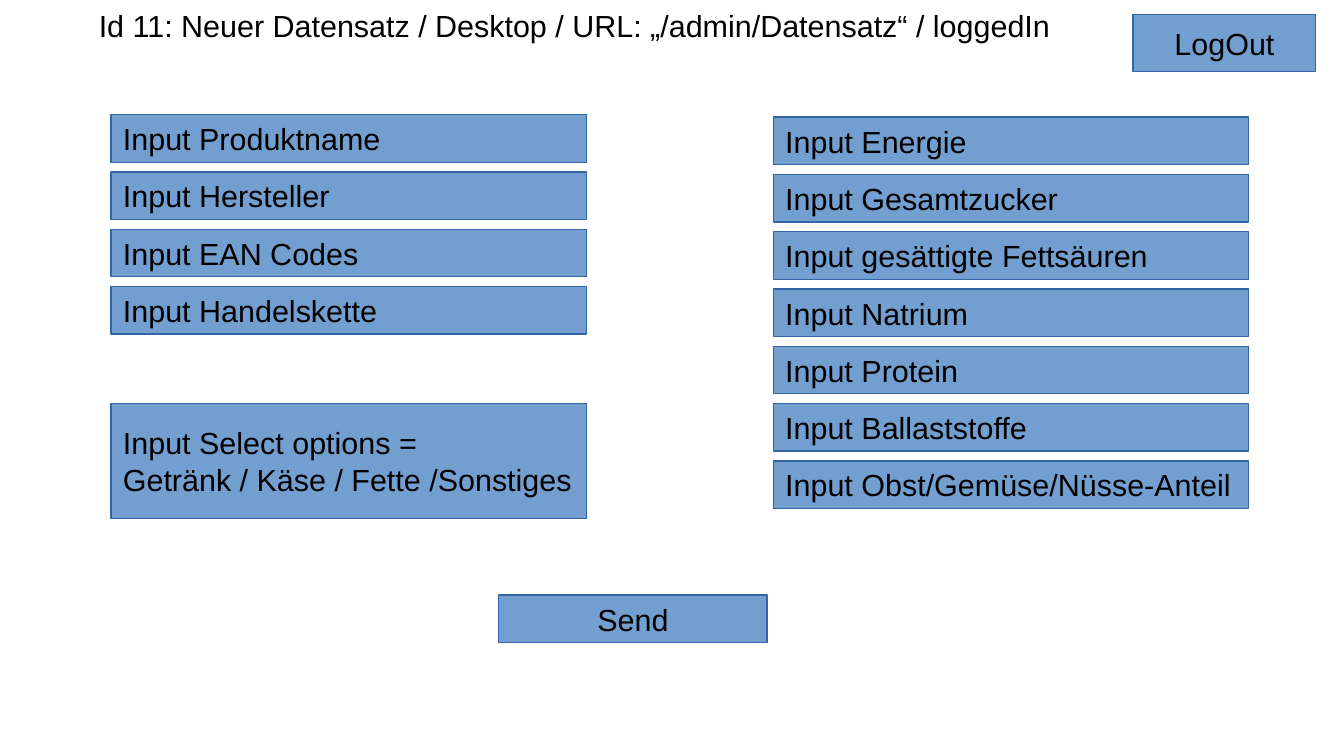
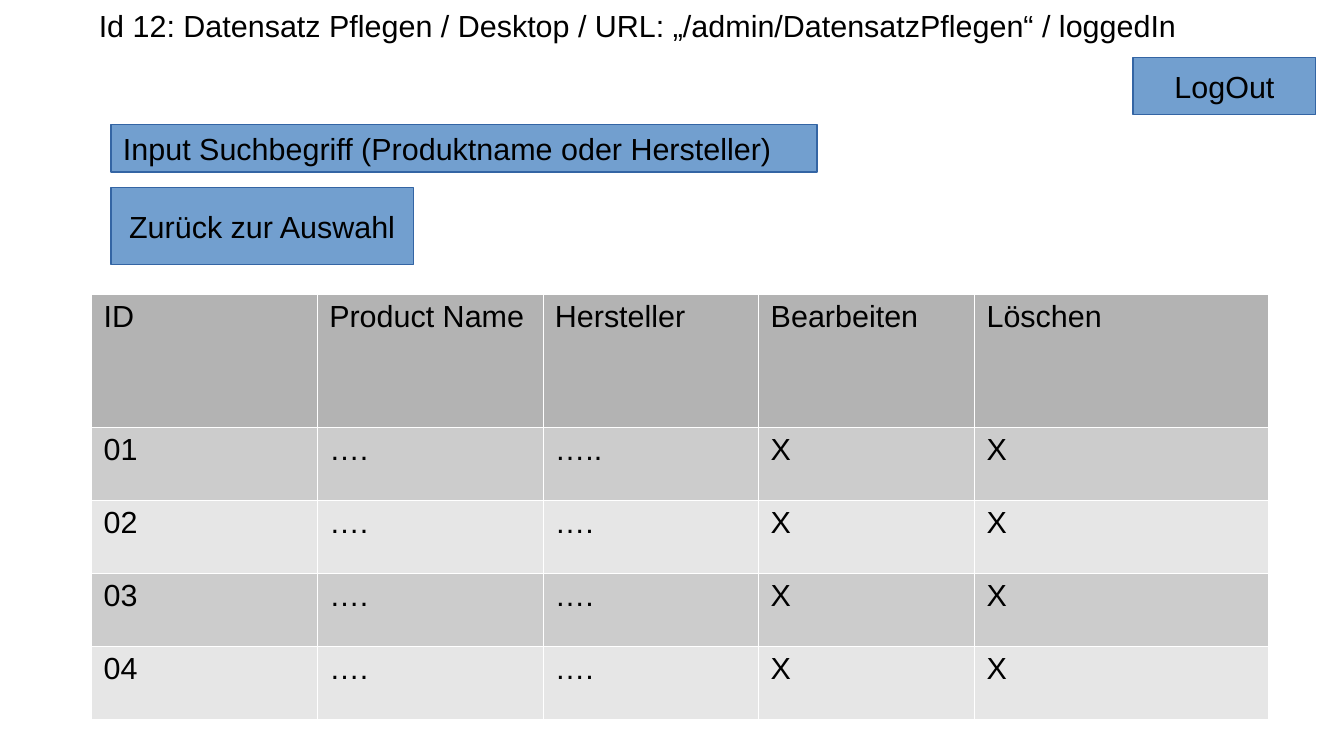
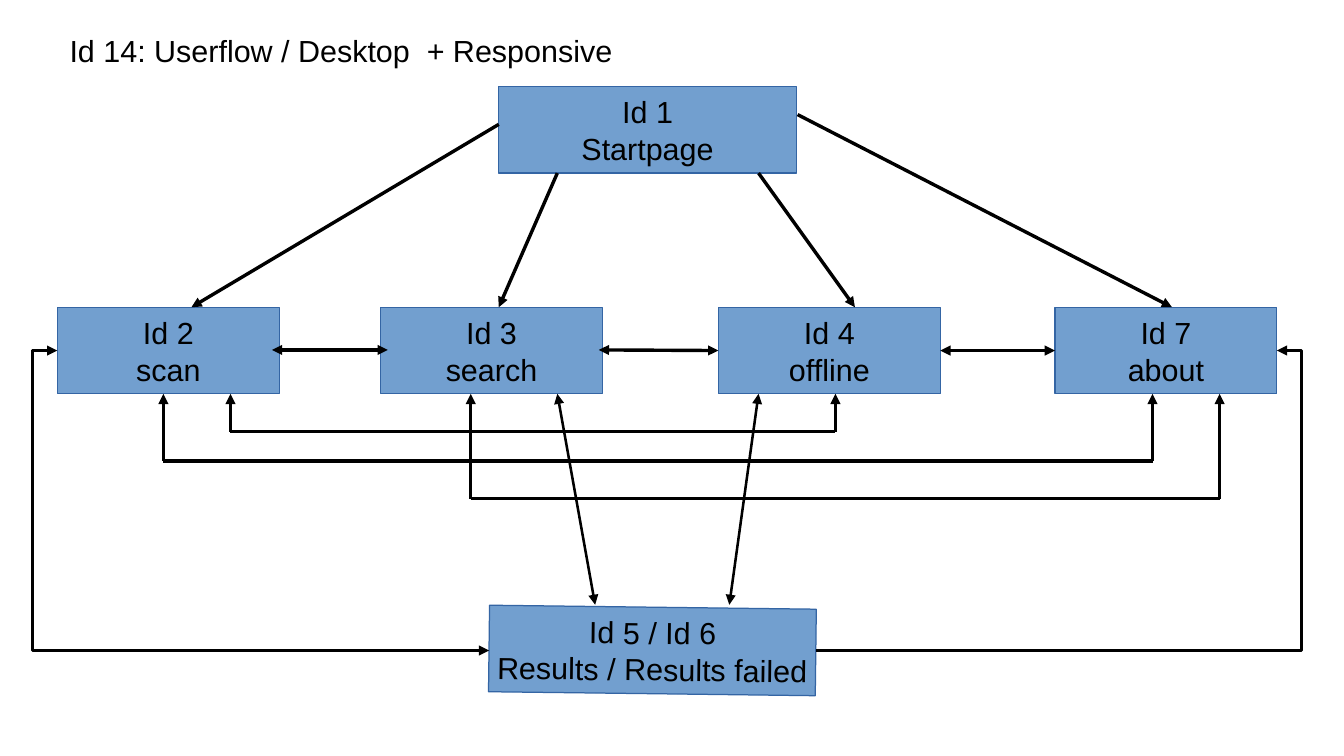
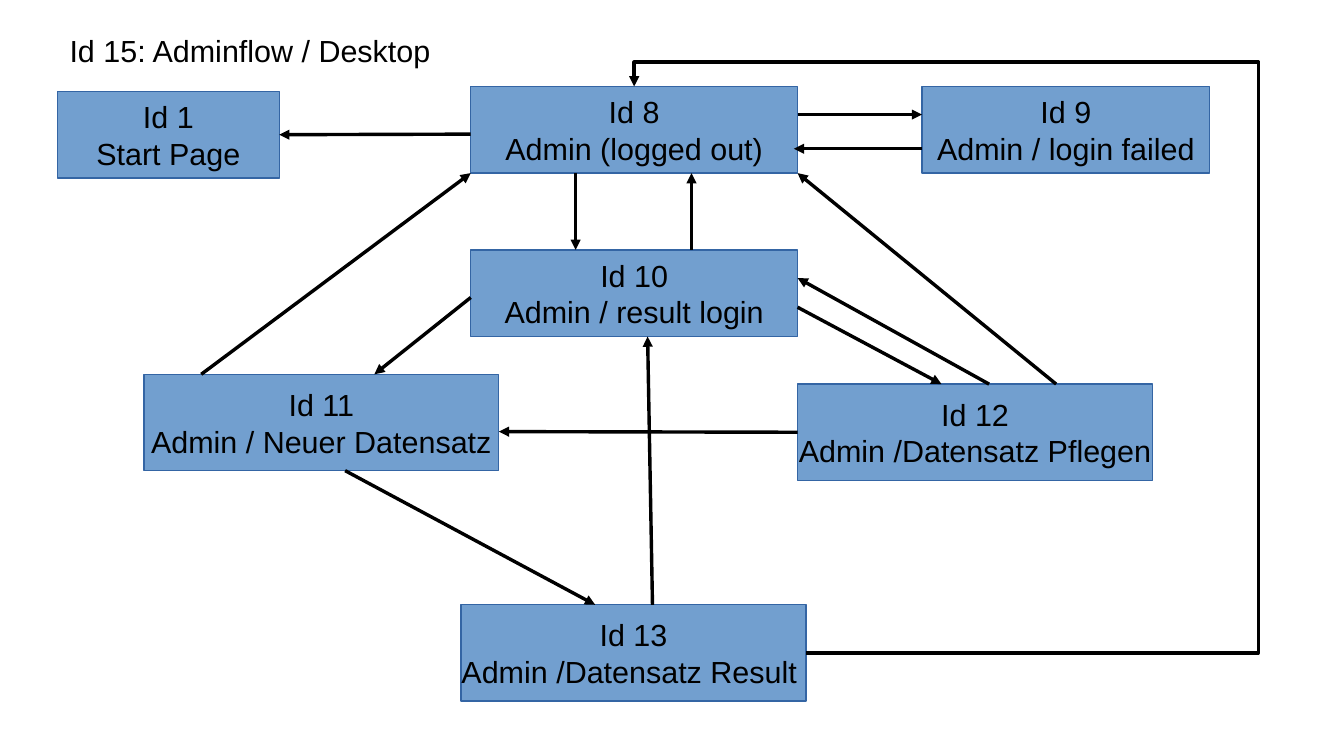
from lxml.etree import SubElement
from pptx import Presentation
from pptx.dml.color import RGBColor
from pptx.enum.shapes import MSO_CONNECTOR, MSO_SHAPE
from pptx.enum.text import MSO_ANCHOR, MSO_AUTO_SIZE, PP_ALIGN
from pptx.oxml.ns import qn
from pptx.util import Inches, Pt

COLORS = {"text": "000000", "box": "729FCF", "outline": "3465A4", "arrow": "000000",
          "head": "B3B3B3", "odd": "CCCCCC", "even": "E6E6E6", "border": "FFFFFF"}
FONT, SIZE = "Arial", 18
TOP, LEFT, BOTTOM, RIGHT = range(4)  # connection sites of a rectangle

# Form slides: content and grid
TITLES = {
    "new": "Id 11: Neuer Datensatz / Desktop / URL: „/admin/Datensatz“ / loggedIn",
    "edit": "Id 12: Datensatz Pflegen / Desktop / URL: „/admin/DatensatzPflegen“ / loggedIn",
    "user": "Id 14: Userflow / Desktop  + Responsive",
    "admin": "Id 15: Adminflow / Desktop",
}
FORM_TITLE, FLOW_TITLE = (0.71, 0.01), (0.47, 0.21)
FIELD_WIDTH, FIELD_HEIGHT, FIELD_STEP = 3.9, 0.39, 0.47
FIELD_COLUMNS = [
    (0.91, 0.94, ["Produktname", "Hersteller", "EAN Codes", "Handelskette"]),
    (6.34, 0.96, ["Energie", "Gesamtzucker", "gesättigte Fettsäuren", "Natrium",
                  "Protein", "Ballaststoffe", "Obst/Gemüse/Nüsse-Anteil"]),
]
SELECT_LINES = ["Input Select options =", "Getränk / Käse / Fette /Sonstiges"]

TABLE_COLUMNS = [1.85, 1.85, 1.77, 1.77, 2.41]
TABLE_ROWS = [1.09] + [0.6] * 4
RECORDS = [
    ["ID", "Product Name", "Hersteller", "Bearbeiten", "Löschen"],
    ["01", "….", "…..", "X", "X"],
    ["02", "….", "….", "X", "X"],
    ["03", "….", "….", "X", "X"],
    ["04", "….", "….", "X", "X"],
]

# Flow slides: boxes as id -> (second line, left, top, width, height)
USER_BOXES = {
    "Id 1": ("Startpage", 4.09, 0.71, 2.44, 0.71),
    "Id 2": ("scan", 0.47, 2.52, 1.82, 0.71),
    "Id 3": ("search", 3.12, 2.52, 1.82, 0.71),
    "Id 4": ("offline", 5.89, 2.52, 1.82, 0.71),
    "Id 7": ("about", 8.65, 2.52, 1.82, 0.71),
    "Id 5 / Id 6": ("Results / Results failed", 4.01, 4.98, 2.68, 0.71),
}
# An arrow end is a point or a (box id, side) pair
USER_ARROWS = [
    ((6.54, 0.94), (9.61, 2.52)),
    ((6.22, 1.42), (7.01, 2.52)),
    ((4.57, 1.42), (4.09, 2.52)),
    ((4.09, 1.02), (1.57, 2.52)),
]
USER_NEIGHBOURS = [
    ((2.23, 2.87), (3.18, 2.87)),
    ((4.91, 2.87), ("Id 4", LEFT)),
    (("Id 4", RIGHT), ("Id 7", LEFT)),
]
RESULT_ARROWS = [((4.57, 3.23), (4.88, 4.96)), ((6.22, 3.23), (5.98, 4.96))]
BRACKET_TOP = 3.23
BRACKETS = [(1.89, 6.85, 3.54), (3.86, 10, 4.09), (1.34, 9.45, 3.78)]  # left, right, depth

ADMIN_BOXES = {
    "Id 8": ("Admin (logged out)", 3.86, 0.71, 2.68, 0.71),
    "Id 1": ("Start Page", 0.47, 0.75, 1.82, 0.71),
    "Id 9": ("Admin / login failed", 7.56, 0.71, 2.36, 0.71),
    "Id 10": ("Admin / result login", 3.86, 2.05, 2.68, 0.71),
    "Id 11": ("Admin / Neuer Datensatz", 1.18, 3.07, 2.91, 0.79),
    "Id 12": ("Admin /Datensatz Pflegen", 6.54, 3.15, 2.91, 0.79),
    "Id 13": ("Admin /Datensatz Result ", 3.78, 4.96, 2.83, 0.79),
}
ADMIN_ARROWS = [
    ((4.72, 1.42), (4.72, 2.05)),
    ((5.67, 2.05), (5.67, 1.42)),
    ((3.86, 1.1), ("Id 1", RIGHT)),
    ((6.54, 0.94), (7.56, 0.94)),
    ((7.56, 1.22), (6.51, 1.22)),
    ((1.65, 3.07), (3.86, 1.42)),
    ((8.66, 3.15), (6.54, 1.42)),
    ((3.86, 2.44), (3.07, 3.07)),
    ((6.54, 2.52), (7.72, 3.15)),
    ((8.11, 3.15), (6.54, 2.28)),
    (("Id 12", LEFT), (4.09, 3.54)),
    ((2.83, 3.86), (4.88, 4.96)),
    ((5.35, 4.96), (5.31, 2.76)),
]


def color(name):
    return RGBColor.from_string(COLORS[name])


def write(frame, lines, align=PP_ALIGN.LEFT):
    for index, line in enumerate(lines):
        para = frame.paragraphs[0] if index == 0 else frame.add_paragraph()
        para.alignment = align
        span = para.add_run()
        span.text = line
        span.font.name, span.font.size, span.font.bold = FONT, Pt(SIZE), False
        span.font.color.rgb = color("text")


def add_page(deck, title, corner):
    page = deck.slides.add_slide(deck.slide_layouts[5])
    box = page.shapes.title
    box.left, box.top, box.width, box.height = map(Inches, (*corner, 9.69, 0.38))
    frame = box.text_frame
    frame.vertical_anchor = MSO_ANCHOR.TOP
    frame.auto_size = MSO_AUTO_SIZE.SHAPE_TO_FIT_TEXT
    write(frame, [title])
    return page


def add_box(page, lines, left, top, width, height, align=PP_ALIGN.CENTER):
    box = page.shapes.add_shape(MSO_SHAPE.RECTANGLE, *map(Inches, (left, top, width, height)))
    box.shadow.inherit = False
    box.fill.solid()
    box.fill.fore_color.rgb = color("box")
    box.line.color.rgb = color("outline")
    box.line.width = 0
    box.text_frame.word_wrap = False
    box.text_frame.vertical_anchor = MSO_ANCHOR.MIDDLE
    write(box.text_frame, lines, align)
    return box


def add_boxes(page, boxes):
    return {name: add_box(page, [name, line], *place)
            for name, (line, *place) in boxes.items()}


def add_arrow(page, boxes, begin, end, heads=("tailEnd",), width=0, kind=MSO_CONNECTOR.STRAIGHT):
    joined = [isinstance(place[0], str) for place in (begin, end)]
    points = [(0, 0) if join else place for join, place in zip(joined, (begin, end))]
    arrow = page.shapes.add_connector(kind, *[Inches(v) for point in points for v in point])
    if joined[0]:
        arrow.begin_connect(boxes[begin[0]], begin[1])
    if joined[1]:
        arrow.end_connect(boxes[end[0]], end[1])
    arrow.line.color.rgb = color("arrow")
    arrow.line.width = Pt(width)
    line = arrow.line._get_or_add_ln()
    for head in heads:
        SubElement(line, qn("a:" + head), type="triangle")
    SubElement(arrow._element.spPr, qn("a:effectLst"))
    return arrow


def add_elbow(page, boxes, begin, end, turn_x, turn_y=None, heads=("tailEnd",)):
    """Bent arrow whose upright runs at turn_x, and whose last level at turn_y."""
    arrow = add_arrow(page, boxes, begin, end, heads, kind=MSO_CONNECTOR.ELBOW)
    shares = [(Inches(turn_x) - arrow.begin_x) / (arrow.end_x - arrow.begin_x)]
    if turn_y is not None:
        shares.append((Inches(turn_y) - arrow.begin_y) / (arrow.end_y - arrow.begin_y))
    geometry = arrow._element.spPr.find(qn("a:prstGeom"))
    geometry.set("prst", f"bentConnector{len(shares) + 2}")
    guides = geometry.find(qn("a:avLst"))
    if guides is None:
        guides = SubElement(geometry, qn("a:avLst"))
    for number, share in enumerate(shares, 1):
        SubElement(guides, qn("a:gd"), name=f"adj{number}", fmla=f"val {round(share * 100000)}")


def add_records(page):
    table = page.shapes.add_table(
        len(TABLE_ROWS), len(TABLE_COLUMNS), Inches(0.75), Inches(2.41),
        Inches(sum(TABLE_COLUMNS)), Inches(sum(TABLE_ROWS))).table
    for column, width in zip(table.columns, TABLE_COLUMNS):
        column.width = Inches(width)
    for number, (row, height, texts) in enumerate(zip(table.rows, TABLE_ROWS, RECORDS)):
        row.height = Inches(height)
        shade = "head" if number == 0 else "odd" if number % 2 else "even"
        for cell, text in zip(row.cells, texts):
            write(cell.text_frame, [text])
            properties = cell._tc.get_or_add_tcPr()
            for side in ("lnL", "lnR", "lnT", "lnB"):
                line = SubElement(properties, qn("a:" + side), w="762")
                fill = SubElement(line, qn("a:solidFill"))
                SubElement(fill, qn("a:srgbClr"), val=COLORS["border"])
            cell.fill.solid()
            cell.fill.fore_color.rgb = color(shade)


def build_new_record(deck):
    page = add_page(deck, TITLES["new"], FORM_TITLE)
    for left, top, names in FIELD_COLUMNS:
        for row, name in enumerate(names):
            add_box(page, ["Input " + name], left, top + row * FIELD_STEP,
                    FIELD_WIDTH, FIELD_HEIGHT, PP_ALIGN.LEFT)
    add_box(page, SELECT_LINES, 0.91, 3.31, FIELD_WIDTH, 0.94, PP_ALIGN.LEFT)
    add_box(page, ["Send"], 4.09, 4.88, 2.2, FIELD_HEIGHT)
    add_box(page, ["LogOut"], 9.29, 0.12, 1.5, 0.47)


def build_edit_record(deck):
    page = add_page(deck, TITLES["edit"], FORM_TITLE)
    add_box(page, ["Input Suchbegriff (Produktname oder Hersteller)"],
            0.91, 1.02, 5.79, FIELD_HEIGHT, PP_ALIGN.LEFT)
    add_box(page, ["LogOut"], 9.29, 0.47, 1.5, 0.47)
    add_box(page, ["Zurück zur Auswahl"], 0.91, 1.54, 2.48, 0.63)
    add_records(page)


def build_user_flow(deck):
    page = add_page(deck, TITLES["user"], FLOW_TITLE)
    boxes = add_boxes(page, USER_BOXES)
    boxes["Id 5 / Id 6"].rotation = 0.7
    both = ("headEnd", "tailEnd")
    for begin, end in USER_ARROWS:
        add_arrow(page, boxes, begin, end)
    for begin, end in USER_NEIGHBOURS:
        add_arrow(page, boxes, begin, end, both)
    for begin, end in RESULT_ARROWS:
        add_arrow(page, boxes, begin, end, both, 1.5)
    add_elbow(page, boxes, ("Id 2", LEFT), ("Id 5 / Id 6", LEFT), 0.27, heads=both)
    add_elbow(page, boxes, ("Id 5 / Id 6", RIGHT), ("Id 7", RIGHT), 10.67)
    # Brackets below the row of pages
    for left, right, depth in BRACKETS:
        add_arrow(page, boxes, (left, depth), (right, depth), ())
        for x in (left, right):
            add_arrow(page, boxes, (x, depth), (x, BRACKET_TOP))


def build_admin_flow(deck):
    page = add_page(deck, TITLES["admin"], FLOW_TITLE)
    boxes = add_boxes(page, ADMIN_BOXES)
    for begin, end in ADMIN_ARROWS:
        add_arrow(page, boxes, begin, end)
    add_elbow(page, boxes, ("Id 13", RIGHT), ("Id 8", TOP), 10.32, 0.51)


def main():
    deck = Presentation()
    deck.slide_width, deck.slide_height = Inches(11.02), Inches(6.2)
    for build in (build_new_record, build_edit_record, build_user_flow, build_admin_flow):
        build(deck)
    deck.save("out.pptx")


if __name__ == "__main__":
    main()
